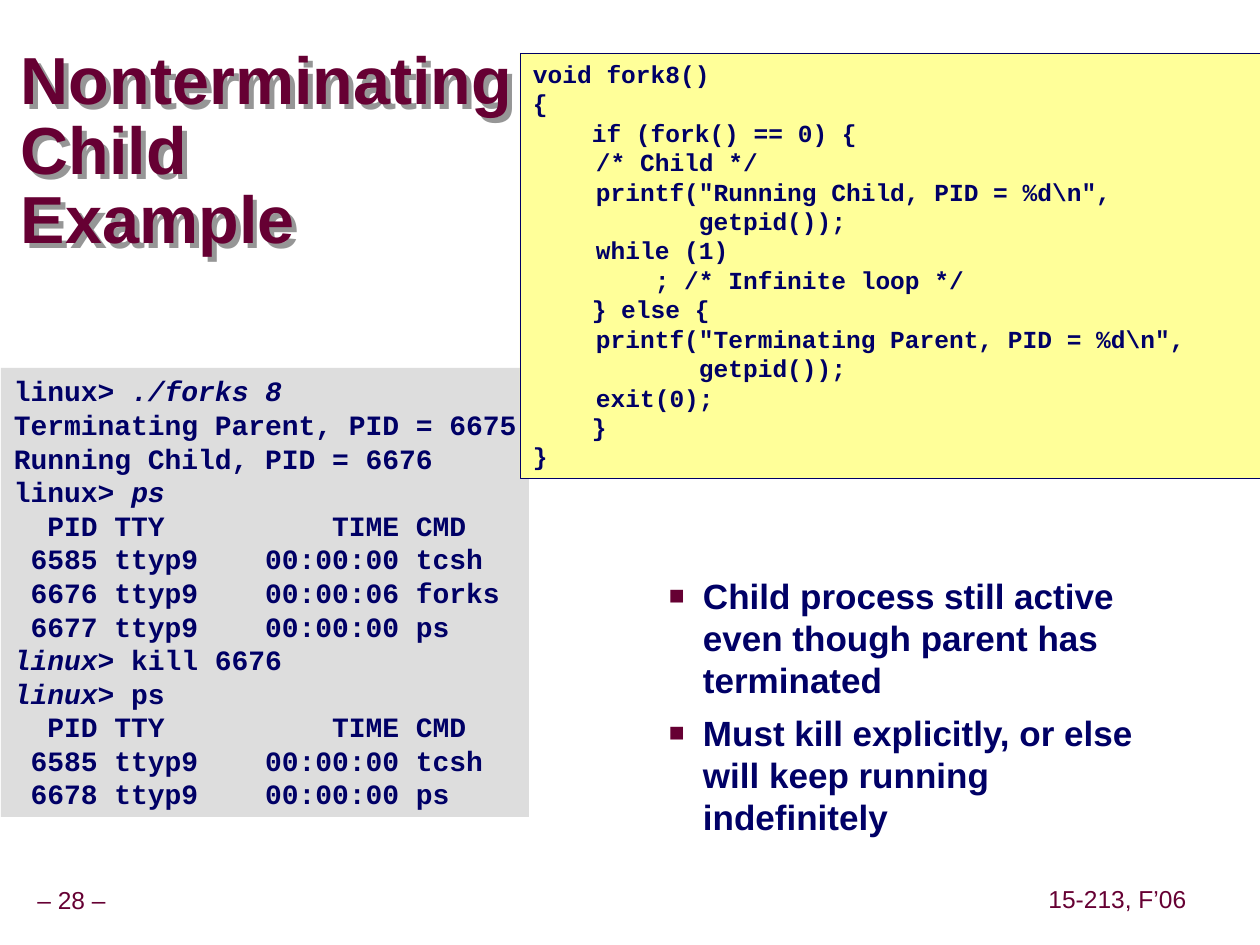
from lxml import etree
from pptx import Presentation
from pptx.dml.color import RGBColor
from pptx.enum.shapes import MSO_SHAPE as Shape
from pptx.enum.text import MSO_ANCHOR as Anchor, PP_ALIGN as Align
from pptx.oxml.ns import qn
from pptx.util import Pt

PX = 914400 // 126
COLORS = {"maroon": "660033", "navy": "000066", "code": "FFFF99",
          "console": "DDDDDD", "shadow": "969696"}

# Content: each line is a list of (text, italic) runs or a plain string
TITLE = ["Nonterminating\vChild\vExample"]
CODE = r"""void fork8()
{
    if (fork() == 0) {
	/* Child */
	printf("Running Child, PID = %d\n",
	       getpid());
	while (1)
	    ; /* Infinite loop */
    } else {
	printf("Terminating Parent, PID = %d\n",
	       getpid());
	exit(0);
    }
}""".split("\n")
HEADER = "  PID TTY          TIME CMD"
SHELL = " 6585 ttyp9    00:00:00 tcsh"
CONSOLE = [
    [("linux> ", False), ("./forks 8", True)],
    "Terminating Parent, PID = 6675",
    "Running Child, PID = 6676",
    [("linux> ", False), ("ps", True)],
    HEADER,
    SHELL,
    " 6676 ttyp9    00:00:06 forks",
    " 6677 ttyp9    00:00:00 ps",
    [("linux>", True), (" kill 6676", False)],
    [("linux>", True), (" ps", False)],
    HEADER,
    SHELL,
    " 6678 ttyp9    00:00:00 ps",
]
POINTS = [
    "Child process still active even though parent has terminated",
    "Must kill explicitly, or else will keep running indefinitely",
]
FOOTERS = [("– 28 –", (4, 882, 135, 39)), ("15-213, F’06", (1042, 881, 151, 39))]

# Text formats
FOOTER = {"size": Pt(14), "name": "Arial", "bold": False, "color": "maroon"}
HEADING = {"size": Pt(38), "name": "Arial", "bold": True, "color": "maroon"}
BODY = {"size": Pt(20), "name": "Arial", "bold": True, "color": "navy"}
LISTING = {"size": Pt(14), "name": "Courier New", "bold": True, "color": "navy"}
TERMINAL = {**LISTING, "size": Pt(16)}


def rgb(name):
    return RGBColor.from_string(COLORS[name])


def add_box(page, place, fill=None, line=None):
    left, top, width, height = (value * PX for value in place)
    if fill is None:
        return page.shapes.add_textbox(left, top, width, height)
    box = page.shapes.add_shape(Shape.RECTANGLE, left, top, width, height)
    box.shadow.inherit = False
    box.fill.solid()
    box.fill.fore_color.rgb = rgb(fill)
    if line:
        box.line.color.rgb = rgb(line)
        box.line.width = Pt(0.25)
    else:
        box.line.fill.background()
    return box


def write(box, lines, style, inset=(13, 6), wrap=False, anchor=Anchor.TOP,
          align=Align.LEFT, spacing=None):
    frame = box.text_frame
    frame.word_wrap = wrap
    frame.vertical_anchor = anchor
    frame.margin_left = frame.margin_right = inset[0] * PX
    frame.margin_top = frame.margin_bottom = inset[1] * PX
    for index, line in enumerate(lines):
        para = frame.add_paragraph() if index else frame.paragraphs[0]
        para.alignment = align
        para.line_spacing = spacing
        if isinstance(line, str):
            para.text = line
        else:
            for text, italic in line:
                span = para.add_run()
                span.text = text
                span.font.italic = italic
        for span in para.runs:
            for key, value in style.items():
                if key == "color":
                    span.font.color.rgb = rgb(value)
                else:
                    setattr(span.font, key, value)
    return frame


def add_child(parent, tag, **attributes):
    return etree.SubElement(parent, qn(tag), attributes)


def add_bullet(para):
    props = para._p.get_or_add_pPr()
    props.set("marL", str(102 * PX))
    props.set("indent", str(-34 * PX))
    add_child(add_child(props, "a:buClr"), "a:srgbClr", val=COLORS["maroon"])
    add_child(props, "a:buSzPct", val="75000")
    add_child(props, "a:buFont", typeface="Arial")
    add_child(props, "a:buChar", char="■")


def add_text_shadow(box):
    effects = add_child(box._element.spPr, "a:effectLst")
    shadow = add_child(effects, "a:outerShdw", dist=str(7 * PX), dir="2700000",
                       algn="ctr", rotWithShape="0")
    add_child(shadow, "a:srgbClr", val=COLORS["shadow"])


def main():
    deck = Presentation()
    deck.slide_width, deck.slide_height = 1260 * PX, 945 * PX
    page = deck.slides.add_slide(deck.slide_layouts[6])

    # Footers
    for text, place in FOOTERS:
        write(add_box(page, place), [text], FOOTER, (6, 6), anchor=Anchor.MIDDLE,
              align=Align.CENTER, spacing=0.9)

    # Console output
    write(add_box(page, (1, 368, 528, 449), "console"), CONSOLE, TERMINAL)

    # Title
    title = add_box(page, (21, 42, 504, 223))
    add_text_shadow(title)
    write(title, TITLE, HEADING, (0, 0), wrap=True, anchor=Anchor.MIDDLE, spacing=0.87)

    # Bullet points
    points = write(add_box(page, (588, 569, 597, 318)), POINTS, BODY, wrap=True)
    for index, para in enumerate(points.paragraphs):
        if index:
            para.space_before = Pt(6.2)
        add_bullet(para)

    # Code listing
    write(add_box(page, (520, 53, 740, 425), "code", "navy"), CODE, LISTING)

    deck.save("out.pptx")


if __name__ == "__main__":
    main()
